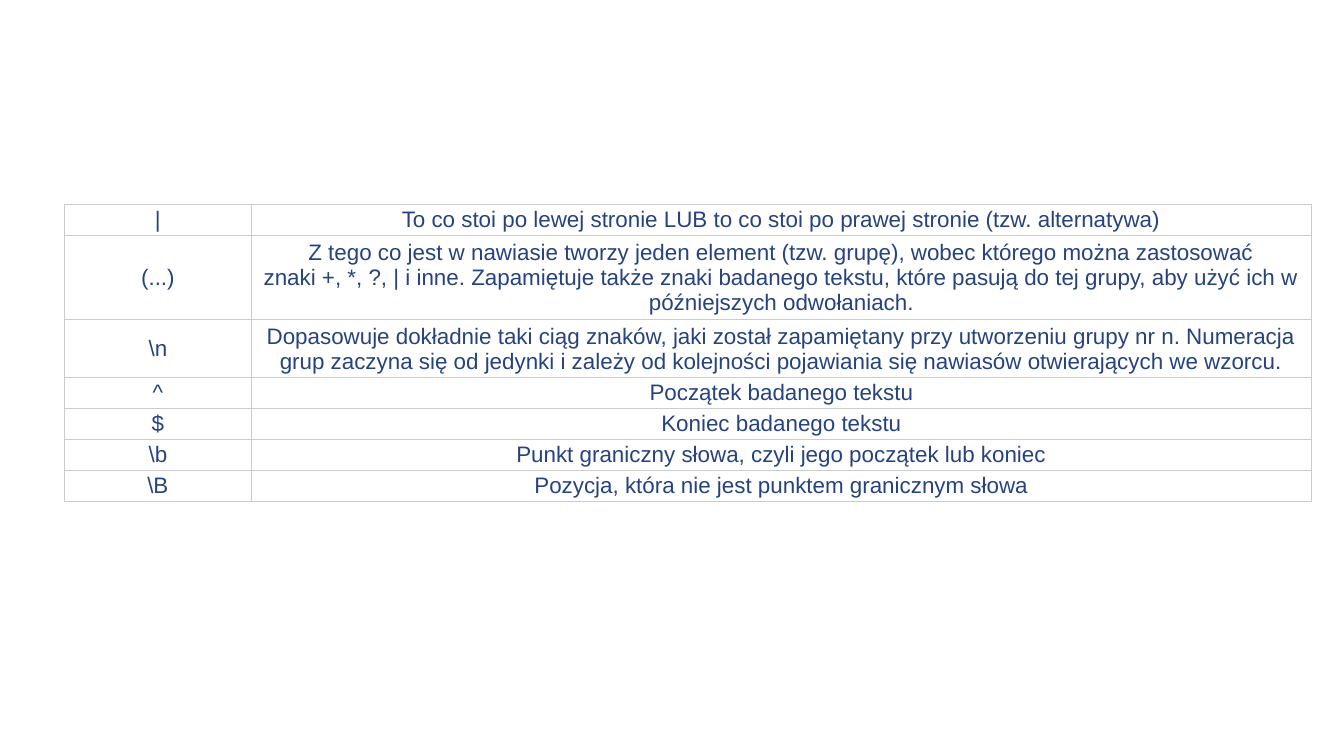
import pptx
import pptx.dml.color
import pptx.enum.text
import pptx.oxml
import pptx.oxml.ns
import pptx.util
from pptx.util import Inches

NAVY = pptx.dml.color.RGBColor(0x26, 0x43, 0x7E)
BORDER_GREY = pptx.dml.color.RGBColor(0xCC, 0xCC, 0xCC)
HARD_SPACE = chr(160)

quantifier_list = HARD_SPACE.join(["znaki", "+,", "*,", "?,", "|", "i"])
group_number = HARD_SPACE.join(["nr", "n."])

column_widths = [1.39, 7.89]
regex_rows = [
    (0.23, "|", "To co stoi po lewej stronie LUB to co stoi po prawej stronie (tzw. alternatywa)"),
    (0.63, "(...)",
     "Z tego co jest w nawiasie tworzy jeden element (tzw. grupę), wobec którego można zastosować "
     f"{quantifier_list} inne. Zapamiętuje także znaki badanego tekstu, które pasują do tej grupy, "
     "aby użyć ich w późniejszych odwołaniach."),
    (0.43, r"\n",
     "Dopasowuje dokładnie taki ciąg znaków, jaki został zapamiętany przy utworzeniu grupy "
     f"{group_number} Numeracja grup zaczyna się od jedynki i zależy od kolejności pojawiania się "
     "nawiasów otwierających we wzorcu."),
    (0.23, "^", "Początek badanego tekstu"),
    (0.23, "$", "Koniec badanego tekstu"),
    (0.23, r"\b", "Punkt graniczny słowa, czyli jego początek lub koniec"),
    (0.23, r"\B", "Pozycja, która nie jest punktem granicznym słowa"),
]

presentation = pptx.Presentation()
presentation.slide_width = Inches(10)
presentation.slide_height = Inches(10) * 9 // 16
slide = presentation.slides.add_slide(presentation.slide_layouts[6])

regex_table = slide.shapes.add_table(
    len(regex_rows), len(column_widths), Inches(0.48), Inches(1.52),
    Inches(sum(column_widths)), Inches(sum(row[0] for row in regex_rows))).table
regex_table.first_row = False
regex_table.horz_banding = False

for column, width in zip(regex_table.columns, column_widths):
    column.width = Inches(width)

for table_row, (height, *texts) in zip(regex_table.rows, regex_rows):
    table_row.height = Inches(height)
    for cell, text in zip(table_row.cells, texts):
        cell.margin_left = cell.margin_right = Inches(0.03)
        cell.margin_top = cell.margin_bottom = Inches(0.02)
        cell.vertical_anchor = pptx.enum.text.MSO_ANCHOR.MIDDLE
        paragraph = cell.text_frame.paragraphs[0]
        paragraph.text = text
        paragraph.alignment = pptx.enum.text.PP_ALIGN.CENTER
        font = paragraph.runs[0].font
        font.name = "Arial"
        font.size = pptx.util.Pt(12)
        font.color.rgb = NAVY
        cell_properties = cell._tc.get_or_add_tcPr()
        for side in ("lnL", "lnR", "lnT", "lnB"):
            cell_properties.append(pptx.oxml.parse_xml(
                f'<a:{side} {pptx.oxml.ns.nsdecls("a")} w="{pptx.util.Pt(0.75)}">'
                f'<a:solidFill><a:srgbClr val="{BORDER_GREY}"/></a:solidFill></a:{side}>'))
        cell.fill.background()

presentation.save("out.pptx")
